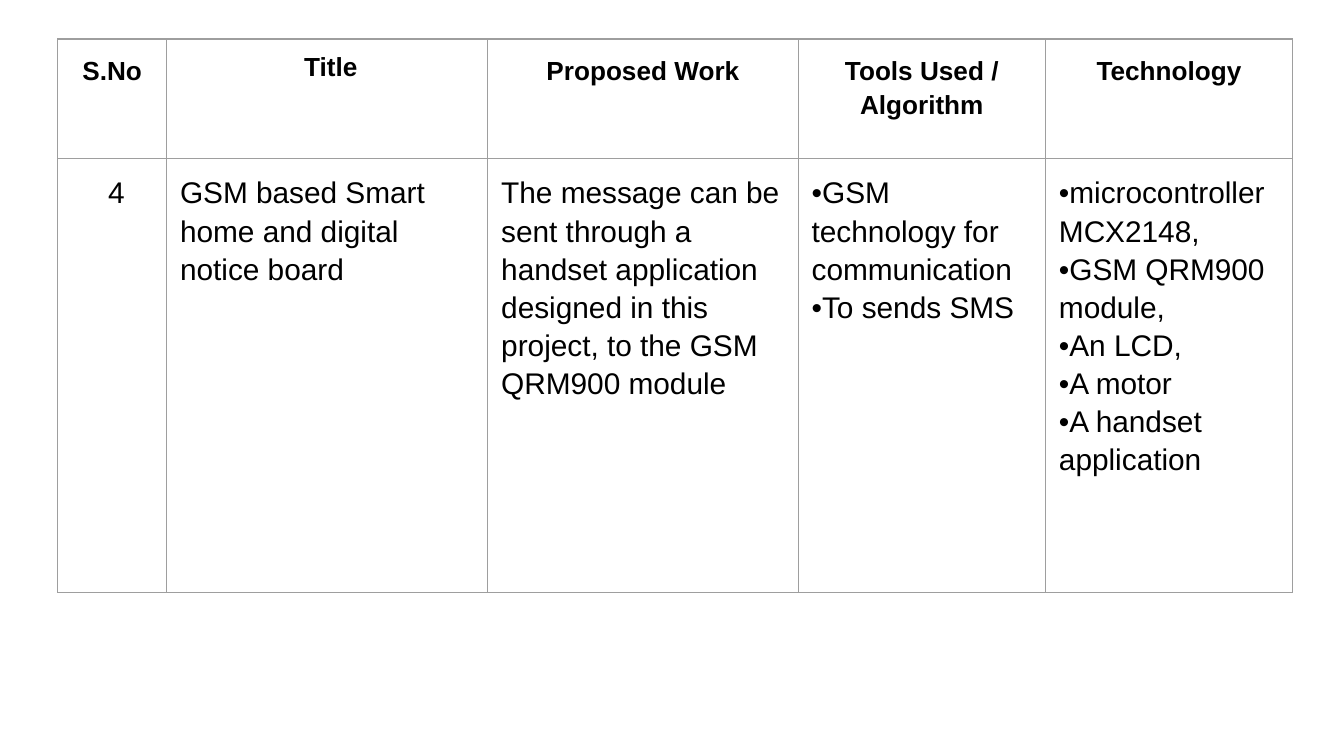
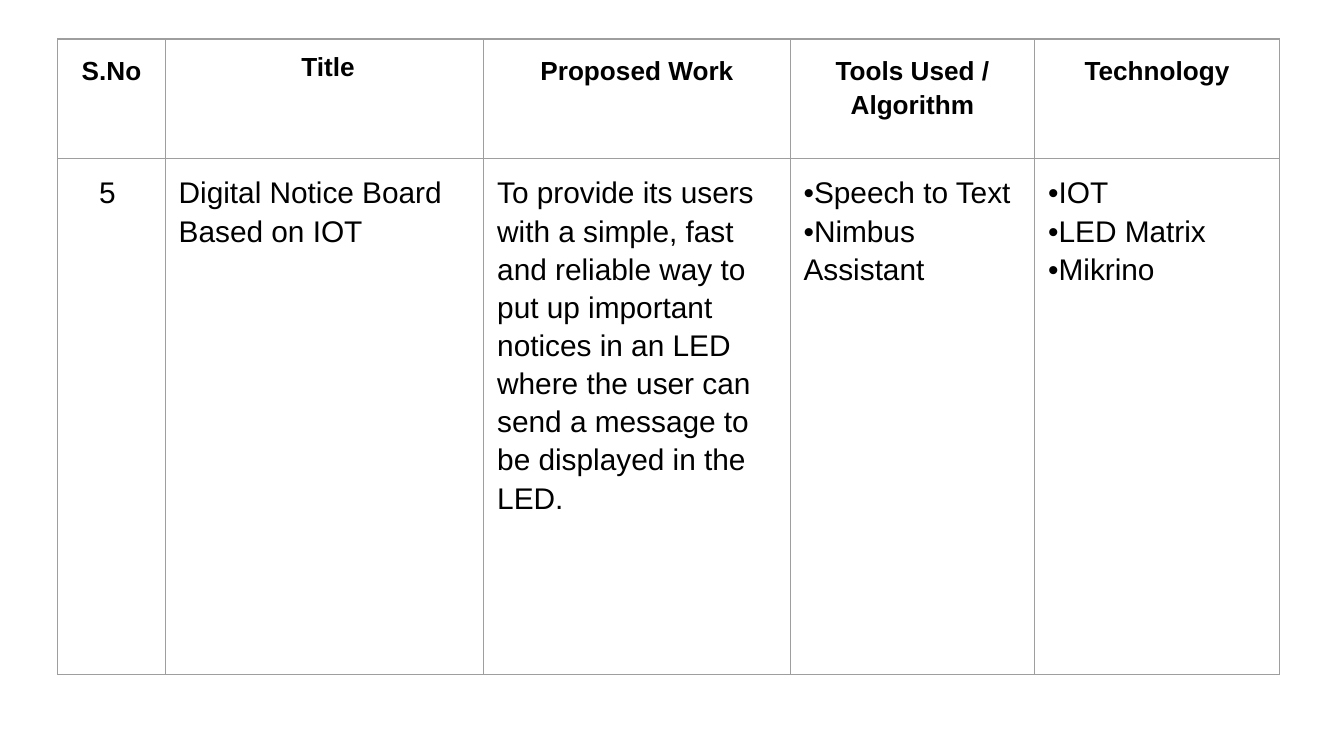
import pptx
import pptx.util
import pptx.dml.color
import pptx.enum.text
import pptx.oxml.ns
import lxml.etree

Inches = pptx.util.Inches
Pt = pptx.util.Pt
CENTER = pptx.enum.text.PP_ALIGN.CENTER
LEFT = pptx.enum.text.PP_ALIGN.LEFT
FONT, INK, RULE = "Arial", "000000", "9E9E9E"
MARGIN = 0.1
HEADINGS = ["S.No", " Title", "Proposed Work", "Tools Used /\nAlgorithm", "Technology"]


def color(value):
    return pptx.dml.color.RGBColor.from_string(value)


def write(tf, text, size=16, bold=False, align=LEFT, spacing=1.15):
    for i, line in enumerate(text.split("\n")):
        p = tf.paragraphs[0] if i == 0 else tf.add_paragraph()
        p.alignment = align
        p.line_spacing = spacing
        r = p.add_run()
        r.text = line
        r.font.name = FONT
        r.font.size = Pt(size)
        r.font.bold = bold
        r.font.color.rgb = color(INK)


def add_borders(cell, width=0.75):
    qn = pptx.oxml.ns.qn
    tc_pr = cell._tc.get_or_add_tcPr()
    for side in ("a:lnL", "a:lnR", "a:lnT", "a:lnB"):
        ln = lxml.etree.SubElement(tc_pr, qn(side), w=str(Pt(width)))
        fill = lxml.etree.SubElement(ln, qn("a:solidFill"))
        lxml.etree.SubElement(fill, qn("a:srgbClr"), val=RULE)


def format_cell(cell):
    cell.margin_left = cell.margin_right = Inches(MARGIN)
    cell.margin_top = cell.margin_bottom = Inches(MARGIN)
    add_borders(cell)
    cell.fill.background()


def add_survey_table(s, left, top, widths, heights, entry):
    table = s.shapes.add_table(
        len(heights), len(widths), Inches(left), Inches(top),
        Inches(sum(widths)), Inches(sum(heights))).table
    table.first_row = table.horz_banding = False
    for column, width in zip(table.columns, widths):
        column.width = Inches(width)
    for row, height in zip(table.rows, heights):
        row.height = Inches(height)
    for i, (heading, text) in enumerate(zip(HEADINGS, entry)):
        head, body = table.cell(0, i), table.cell(1, i)
        format_cell(head)
        format_cell(body)
        write(head.text_frame, heading, size=14, bold=True, align=CENTER,
              spacing=1.0 if i == 1 else 1.15)
        write(body.text_frame, text, align=CENTER if i == 0 else LEFT)


def add_survey_slide(prs, widths, body_height, entry):
    s = prs.slides.add_slide(prs.slide_layouts[6])
    add_survey_table(s, 0.43, 0.29, widths, [0.89, body_height], entry)


def bullets(*items):
    return "\n".join("•" + item for item in items)


def main():
    prs = pptx.Presentation()
    prs.slide_width = Inches(10)
    prs.slide_height = Inches(10 * 9 / 16)
    add_survey_slide(prs, [0.81, 2.39, 2.31, 1.84, 1.84], 3.23, [
        " 4",
        "GSM based Smart home and digital notice board",
        "The message can be sent through a handset application designed "
        "in this project, to the GSM QRM900 module",
        bullets("GSM technology for communication", "To sends SMS"),
        bullets("microcontroller MCX2148,", "GSM QRM900 module,", "An LCD,",
                "A motor", "A handset application"),
    ])
    add_survey_slide(prs, [0.8, 2.37, 2.28, 1.82, 1.82], 3.84, [
        "5 ",
        "Digital Notice Board Based on IOT",
        "To provide its users with a simple, fast and reliable way to\n"
        "put up important notices in an LED where the user can\n"
        "send a message to be displayed in the LED.",
        bullets("Speech to Text", "Nimbus Assistant"),
        bullets("IOT", "LED Matrix", "Mikrino"),
    ])
    prs.save("out.pptx")


if __name__ == "__main__":
    main()
